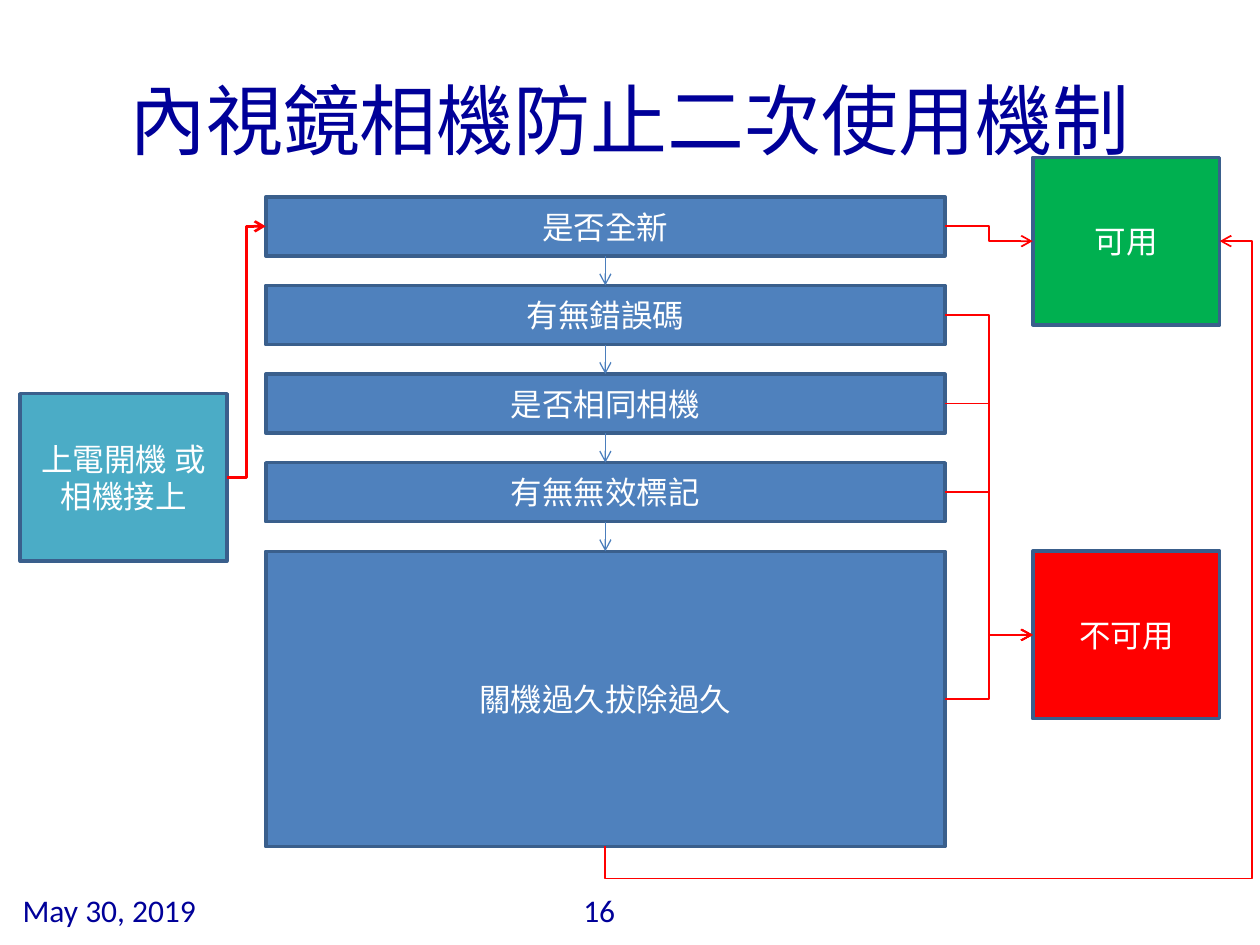
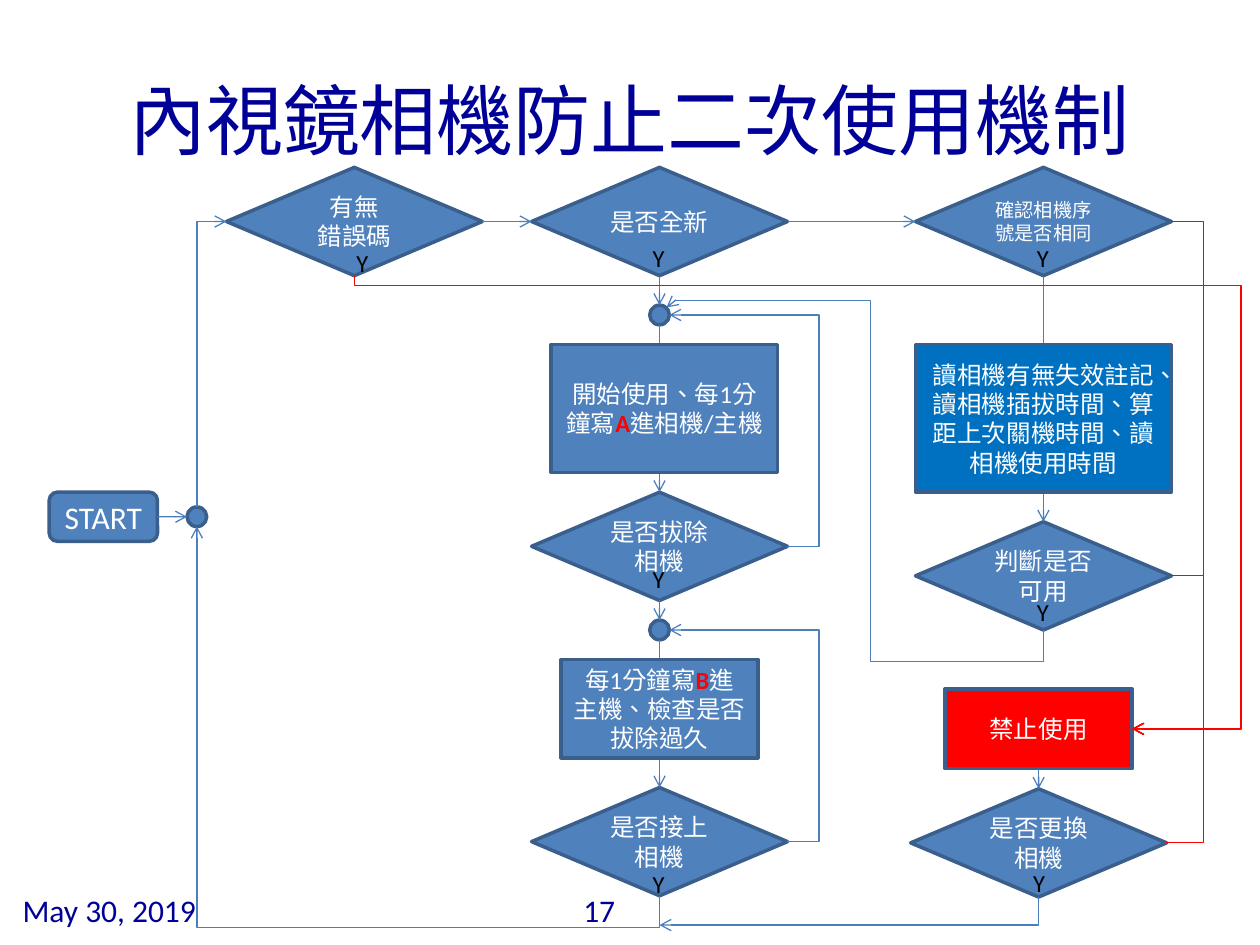
from dataclasses import dataclass
from typing import NamedTuple, Optional, Union

from lxml import etree
from pptx import Presentation
from pptx.dml.color import RGBColor
from pptx.enum.shapes import MSO_CONNECTOR, MSO_SHAPE
from pptx.enum.text import MSO_ANCHOR, PP_ALIGN
from pptx.oxml.ns import qn
from pptx.util import Pt

RECT = MSO_SHAPE.RECTANGLE
DECISION = MSO_SHAPE.FLOWCHART_DECISION
PROCESS = MSO_SHAPE.FLOWCHART_PROCESS
TERMINAL = MSO_SHAPE.FLOWCHART_ALTERNATE_PROCESS
JUNCTION = MSO_SHAPE.FLOWCHART_CONNECTOR
STRAIGHT, ELBOW = MSO_CONNECTOR.STRAIGHT, MSO_CONNECTOR.ELBOW
LEFT_ALIGN, CENTER = PP_ALIGN.LEFT, PP_ALIGN.CENTER
TOP_ANCHOR, MIDDLE = MSO_ANCHOR.TOP, MSO_ANCHOR.MIDDLE
TOP, LEFT, BOTTOM, RIGHT = range(4)


@dataclass(frozen=True)
class Theme:
    navy: str = "000099"
    blue: str = "4F81BD"
    outline: str = "3A5F8C"
    arrow: str = "4B7EBC"
    deep_blue: str = "0070C0"
    teal: str = "4BACC6"
    green: str = "00B050"
    red: str = "FF0000"
    white: str = "FFFFFF"
    black: str = "000000"
    latin: str = "Calibri"
    asian: str = "Noto Sans CJK SC"
    title_size: float = 44
    body_size: float = 18
    step_size: float = 14
    small_size: float = 11
    outline_width: float = 2


THEME = Theme()
TITLE = "內視鏡相機防止二次使用機制"
DATE = "May 30, 2019"


class Run(NamedTuple):
    text: str
    color: str = THEME.white
    bold: bool = False


class Point(NamedTuple):
    x: float
    y: float


class Anchor(NamedTuple):
    node: str
    side: int


Paragraphs = tuple[tuple[Run, ...], ...]
End = Union[Anchor, Point]


def plain(*lines: str, color: str = THEME.white) -> Paragraphs:
    return tuple((Run(line, color),) for line in lines)


@dataclass(frozen=True)
class Node:
    """A flowchart shape, placed by its horizontal centre and its top."""
    name: str
    kind: int
    center: float
    top: float
    width: float
    height: float
    paragraphs: Paragraphs = ()
    fill: str = THEME.blue
    size: float = THEME.step_size

    def side_point(self, side: int) -> Point:
        middle = self.top + self.height / 2
        return (
            Point(self.center, self.top),
            Point(self.center - self.width / 2, middle),
            Point(self.center, self.top + self.height),
            Point(self.center + self.width / 2, middle),
        )[side]


@dataclass(frozen=True)
class Link:
    """An arrow: an elbow when bend_x is set, a path when turns are given."""
    start: End
    end: End
    bend_x: Optional[float] = None
    turns: tuple[Point, ...] = ()
    color: str = THEME.arrow
    width: float = 0.75


def write(shape, paragraphs: Paragraphs, size: float, align=CENTER,
          anchor=MIDDLE, latin: str = THEME.latin) -> None:
    frame = shape.text_frame
    frame.word_wrap = True
    frame.vertical_anchor = anchor
    for index, runs in enumerate(paragraphs):
        paragraph = frame.add_paragraph() if index else frame.paragraphs[0]
        paragraph.alignment = align
        for item in runs:
            run = paragraph.add_run()
            run.text = item.text
            font = run.font
            font.name, font.size, font.bold = latin, Pt(size), item.bold
            font.color.rgb = RGBColor.from_string(item.color)
            properties = run._r.get_or_add_rPr()
            properties.set("lang", "zh-TW")
            etree.SubElement(properties, qn("a:ea"), typeface=THEME.asian)


def add_text(slide, left: float, top: float, width: float, height: float,
             text: str, size: float, color: str, **style) -> None:
    box = slide.shapes.add_textbox(Pt(left), Pt(top), Pt(width), Pt(height))
    write(box, plain(text, color=color), size, **style)


def add_label(slide, left: float, top: float, width: float, text: str,
              size: float = THEME.body_size, color: str = THEME.navy) -> None:
    add_text(slide, left, top, width, 28, text, size, color,
             align=LEFT_ALIGN, anchor=TOP_ANCHOR)


def add_base_slide(presentation, number: int):
    slide = presentation.slides.add_slide(presentation.slide_layouts[6])
    add_label(slide, 326.2, 505.4, 39.6, str(number))
    add_label(slide, 5.8, 505.4, 225.4, DATE)
    add_text(slide, 36, 28.8, 648, 77.8, TITLE, THEME.title_size, THEME.navy,
             latin=THEME.asian)
    return slide


def add_node(slide, node: Node):
    shape = slide.shapes.add_shape(
        node.kind, Pt(node.center - node.width / 2), Pt(node.top),
        Pt(node.width), Pt(node.height))
    shape.shadow.inherit = False
    shape.fill.solid()
    shape.fill.fore_color.rgb = RGBColor.from_string(node.fill)
    shape.line.color.rgb = RGBColor.from_string(THEME.outline)
    shape.line.width = Pt(THEME.outline_width)
    write(shape, node.paragraphs, node.size)
    return shape


class Flowchart:
    def __init__(self, slide) -> None:
        self.slide = slide
        self.nodes: dict[str, Node] = {}
        self.shapes: dict = {}

    def add_nodes(self, nodes: list[Node]) -> None:
        for node in nodes:
            self.nodes[node.name] = node
            self.shapes[node.name] = add_node(self.slide, node)

    def locate(self, end: End) -> Point:
        if isinstance(end, Point):
            return end
        return self.nodes[end.node].side_point(end.side)

    def can_join(self, end: End) -> bool:
        return isinstance(end, Anchor) and self.nodes[end.node].kind != JUNCTION

    def add_connector(self, link: Link):
        start, end = self.locate(link.start), self.locate(link.end)
        kind = STRAIGHT if link.bend_x is None else ELBOW
        connector = self.slide.shapes.add_connector(
            kind, Pt(start.x), Pt(start.y), Pt(end.x), Pt(end.y))
        if self.can_join(link.start):
            connector.begin_connect(self.shapes[link.start.node], link.start.side)
        if self.can_join(link.end):
            connector.end_connect(self.shapes[link.end.node], link.end.side)
        if link.bend_x is not None:
            ratio = (link.bend_x - start.x) / (end.x - start.x)
            guides = connector.element.spPr.find(qn("a:prstGeom")).find(qn("a:avLst"))
            etree.SubElement(guides, qn("a:gd"), name="adj1",
                             fmla=f"val {round(ratio * 100000)}")
        return connector

    def add_path(self, link: Link):
        start = self.locate(link.start)
        points = [*link.turns, self.locate(link.end)]
        builder = self.slide.shapes.build_freeform(Pt(start.x), Pt(start.y))
        builder.add_line_segments([(Pt(p.x), Pt(p.y)) for p in points], close=False)
        path = builder.convert_to_shape()
        path.shadow.inherit = False
        path.fill.background()
        return path

    def add_links(self, links: list[Link]) -> None:
        for link in links:
            shape = self.add_path(link) if link.turns else self.add_connector(link)
            shape.line.color.rgb = RGBColor.from_string(link.color)
            shape.line.width = Pt(link.width)
            properties = shape.element.spPr
            etree.SubElement(properties.find(qn("a:ln")), qn("a:tailEnd"), type="arrow")
            if not link.turns:
                etree.SubElement(properties, qn("a:effectLst"))


def build_overview(presentation) -> None:
    chart = Flowchart(add_base_slide(presentation, 16))
    questions = ["是否全新", "有無錯誤碼", "是否相同相機", "有無無效標記", "關機過久拔除過久"]
    check_center, check_height, check_pitch = 345.94, 33.75, 50.63
    checks = [
        Node(text, RECT, check_center, 112.5 + row * check_pitch, 388.12,
             168.75 if text == questions[-1] else check_height,
             plain(text), size=THEME.body_size)
        for row, text in enumerate(questions)
    ]
    states = [
        Node(text, RECT, center, top, width, 95.63, plain(text), fill, THEME.body_size)
        for text, center, top, width, fill in [
            ("可用", 643.6, 90, 106.88, THEME.green),
            ("不可用", 643.6, 315, 106.88, THEME.red),
            ("上電開機 或相機接上", 70.6, 225, 118.13, THEME.teal),
        ]
    ]
    chart.add_nodes(checks + states)
    usable, unusable, power_on = (state.name for state in states)
    first, last = questions[0], questions[-1]
    result_bend = 565.2
    chart.add_links([Link(Anchor(above, BOTTOM), Anchor(below, TOP))
                     for above, below in zip(questions, questions[1:])])
    chart.add_links([
        Link(Anchor(last, BOTTOM), Anchor(usable, RIGHT), color=THEME.red, width=1,
             turns=(Point(check_center, 502), Point(715.7, 502), Point(715.7, 137.8))),
        Link(Anchor(power_on, RIGHT), Anchor(first, LEFT), 140.8,
             color=THEME.red, width=1.5),
        Link(Anchor(first, RIGHT), Anchor(usable, LEFT), result_bend,
             color=THEME.red, width=1),
    ])
    chart.add_links([Link(Anchor(text, RIGHT), Anchor(unusable, LEFT), result_bend,
                          color=THEME.red, width=1) for text in questions[1:]])


def build_detail(presentation) -> None:
    slide = add_base_slide(presentation, 17)
    chart = Flowchart(slide)
    error_x, use_x, check_x, ban_x, start_x = 202.5, 376.88, 596.25, 593.5, 112.5
    decisions = [
        Node(name, DECISION, center, top, 146.25, 61.88, plain(*lines), size=size)
        for name, center, top, lines, size in [
            ("error", error_x, 95.63, ("有無", "錯誤碼"), THEME.step_size),
            ("new", use_x, 95.63, ("是否全新",), THEME.step_size),
            ("same", check_x, 95.63, ("確認相機序號是否相同",), THEME.small_size),
            ("usable", check_x, 298.13, ("判斷是否可用",), THEME.step_size),
            ("unplugged", use_x, 281.25, ("是否拔除相機",), THEME.step_size),
            ("plugged", use_x, 450, ("是否接上相機",), THEME.step_size),
            ("replaced", ban_x, 450.7, ("是否更換相機",), THEME.step_size),
        ]
    ]
    junctions = [
        Node(name, JUNCTION, center, middle - 5.63, 11.25, 11.25)
        for name, center, middle in [("restart", start_x, 295.31),
                                     ("use", use_x, 180), ("wait", use_x, 360)]
    ]
    chart.add_nodes(decisions + junctions + [
        Node("start", TERMINAL, 59.06, 281.25, 61.88, 28.13, plain("START"),
             size=THEME.body_size),
        Node("ban", PROCESS, ban_x, 393.75, 106.88, 45.5, plain("禁止使用"), THEME.red),
    ])
    straight = [
        ("same", BOTTOM, "usable", TOP), ("use", BOTTOM, "unplugged", TOP),
        ("wait", BOTTOM, "plugged", TOP), ("error", RIGHT, "new", LEFT),
        ("new", RIGHT, "same", LEFT), ("start", RIGHT, "restart", LEFT),
        ("new", BOTTOM, "use", TOP), ("unplugged", BOTTOM, "wait", TOP),
        ("ban", BOTTOM, "replaced", TOP),
    ]
    chart.add_links([Link(Anchor(source, leaving), Anchor(target, entering))
                     for source, leaving, target, entering in straight])
    chart.add_links([Link(Anchor(name, RIGHT), Anchor("ban", RIGHT), 687.6,
                          color=THEME.red) for name in ("usable", "same", "replaced")])
    loop_x, return_x, far_x = 468, 497.5, 709.2
    for source, target in [("unplugged", "use"), ("plugged", "wait")]:
        leave, enter = Anchor(source, RIGHT), Anchor(target, RIGHT)
        chart.add_links([Link(leave, enter, turns=(
            Point(loop_x, chart.locate(leave).y), Point(loop_x, chart.locate(enter).y)))])
    error_y, ban_y = 126.56, 416.5
    chart.add_links([
        Link(Anchor("plugged", BOTTOM), Anchor("restart", BOTTOM),
             turns=(Point(use_x, 529.9), Point(start_x, 529.9))),
        Link(Anchor("restart", TOP), Anchor("error", LEFT),
             turns=(Point(start_x, error_y),)),
        Link(Anchor("error", BOTTOM), Anchor("ban", RIGHT), color=THEME.red,
             turns=(Point(error_x, 163), Point(far_x, 163), Point(far_x, ban_y))),
        Link(Anchor("usable", BOTTOM), Point(380.9, 175.7),
             turns=(Point(check_x, 378), Point(return_x, 378),
                    Point(return_x, 171.8), Point(383.5, 171.8))),
        Link(Anchor("replaced", BOTTOM), Point(use_x, 528.6),
             turns=(Point(ban_x, 528.6),)),
    ])
    marker_a, marker_b = (Run(letter, THEME.red, True) for letter in "AB")
    chart.add_nodes([
        Node("read", RECT, check_x, 196.88, 146.25, 84.38,
             plain("讀相機有無失效註記、讀相機插拔時間、算距上次關機時間、讀相機使用時間"),
             THEME.deep_blue),
        Node("write_a", RECT, 379.7, 196.88, 129.38, 73.13,
             ((Run("開始使用、每1分鐘寫"), marker_a, Run("進相機/主機")),)),
        Node("write_b", RECT, use_x, 376.88, 112.5, 56.25,
             ((Run("每1分鐘寫"), marker_b, Run("進主機、檢查是否拔除過久")),)),
    ])
    for left, top in [(196.6, 138.2), (365.8, 135.4), (585.4, 135.4), (365.8, 493.2),
                      (365.8, 319), (585.4, 337.7), (583.2, 492.5)]:
        add_label(slide, left, top, 22.3, "Y", THEME.step_size, THEME.black)


def main() -> None:
    presentation = Presentation()
    presentation.slide_width, presentation.slide_height = Pt(720), Pt(540)
    build_overview(presentation)
    build_detail(presentation)
    presentation.save("out.pptx")


if __name__ == "__main__":
    main()
